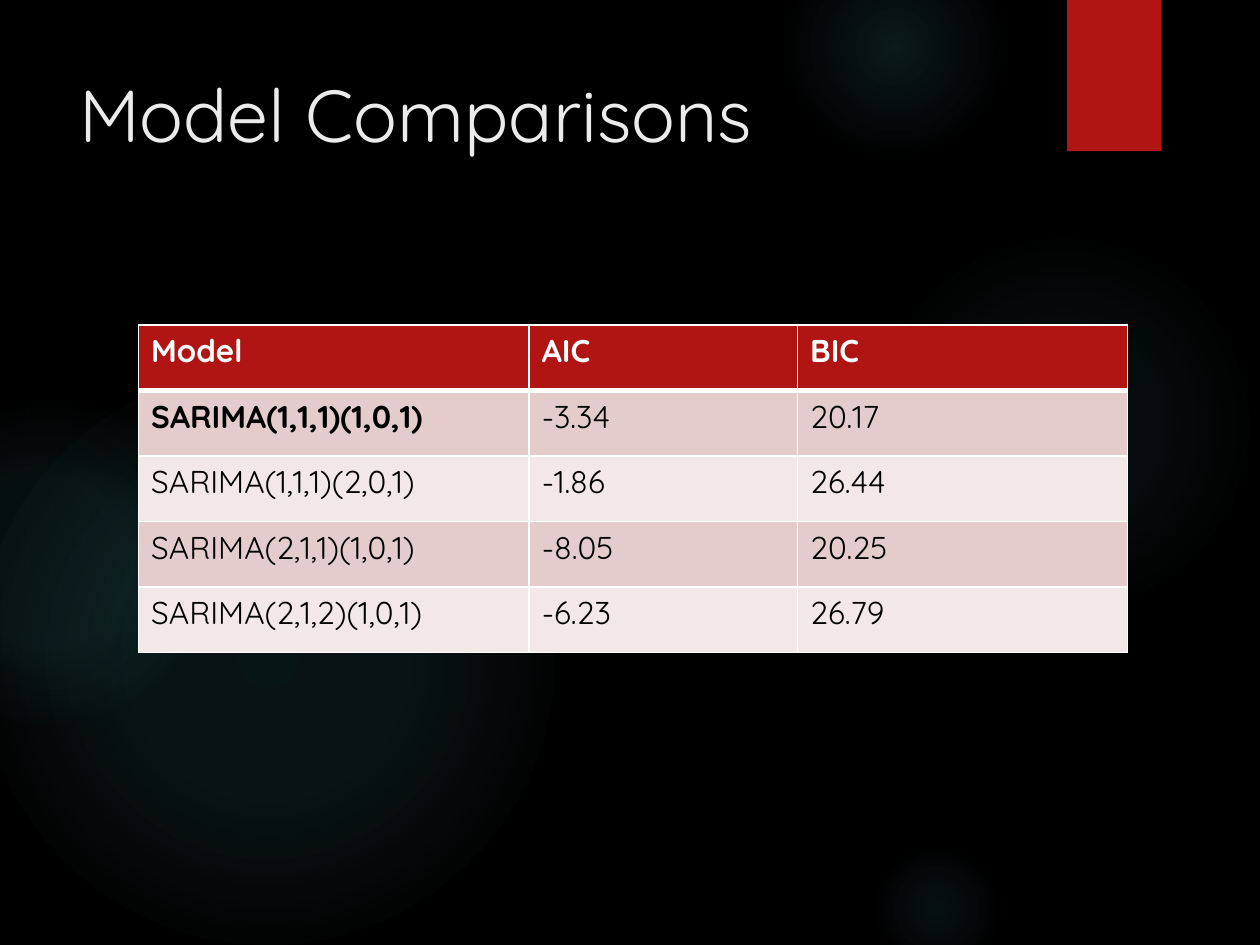
from pptx import Presentation
from pptx.dml.color import RGBColor
from pptx.enum.shapes import MSO_SHAPE as Shape
from pptx.enum.text import MSO_ANCHOR as Anchor
from pptx.oxml import parse_xml
from pptx.oxml.ns import nsdecls, qn
from pptx.util import Inches, Pt

BLACK = RGBColor(0x00, 0x00, 0x00)
WHITE = RGBColor(0xFF, 0xFF, 0xFF)
PALE = RGBColor(0xEB, 0xEB, 0xEB)
RED = RGBColor(0xB0, 0x15, 0x13)
ROSE = RGBColor(0xE4, 0xCC, 0xCC)
BLUSH = RGBColor(0xF2, 0xE8, 0xE7)
TEAL = RGBColor(0x50, 0xB9, 0xC1)
FONT = "Quicksand"


def write(frame, text, size, color, bold=False):
    run = frame.paragraphs[0].add_run()
    run.text = text
    run.font.color.rgb = color
    for name, value in {"name": FONT, "size": Pt(size), "bold": bold}.items():
        setattr(run.font, name, value)


def border(cell, widths):
    """Draw white cell edges; widths are points for left, right, top, bottom."""
    props = cell._tc.get_or_add_tcPr()
    for i, (side, width) in enumerate(zip("LRTB", widths)):
        props.insert(i, parse_xml(
            f'<a:ln{side} {nsdecls("a")} w="{Pt(width)}"><a:solidFill>'
            f'<a:srgbClr val="{WHITE}"/></a:solidFill></a:ln{side}>'))


prs = Presentation()
prs.slide_width, prs.slide_height = Inches(10), Inches(7.5)
slide = prs.slides.add_slide(prs.slide_layouts[6])
slide.background.fill.solid()
slide.background.fill.fore_color.rgb = BLACK
shapes = slide.shapes

# Soft teal glows: left, top, diameter, then (position, opacity) stops in percent
glows = [
    (6.89, 1.83, 3.08, [(0, 7), (36, 6), (69, 0)]),
    (6.22, -0.5, 1.75, [(0, 14), (36, 7), (73, 0)]),
    (6.89, 6.67, 1.08, [(0, 9), (36, 5), (66, 0)]),
    (-0.17, 2.92, 4.58, [(0, 11), (36, 10), (75, 0)]),
    (-0.92, 3.17, 2.58, [(0, 8), (36, 8), (72, 0)]),
]
for left, top, size, stops in glows:
    glow = shapes.add_shape(Shape.OVAL, Inches(left), Inches(top), Inches(size), Inches(size))
    glow.shadow.inherit = False
    glow.line.fill.background()
    glow.fill.gradient()
    marks = "".join(
        f'<a:gs pos="{pos * 1000}"><a:srgbClr val="{TEAL}">'
        f'<a:alpha val="{alpha * 1000}"/></a:srgbClr></a:gs>' for pos, alpha in stops)
    props = glow._element.spPr
    props.replace(props.find(qn("a:gradFill")), parse_xml(
        f'<a:gradFill {nsdecls("a")}><a:gsLst>{marks}</a:gsLst><a:path path="circle">'
        '<a:fillToRect l="50000" t="50000" r="50000" b="50000"/></a:path></a:gradFill>'))

tab = shapes.add_shape(Shape.RECTANGLE, Inches(8.47), 0, Inches(0.75), Inches(1.2))
tab.shadow.inherit = False
tab.fill.solid()
tab.fill.fore_color.rgb = RED
tab.line.fill.background()

title = shapes.add_textbox(Inches(0.53), Inches(0.5), Inches(7.72), Inches(1.53)).text_frame
title.word_wrap = True
title.vertical_anchor = Anchor.TOP
write(title, "Model Comparisons", 42, PALE)

rows = [
    ("Model", "AIC", "BIC"),
    ("SARIMA(1,1,1)(1,0,1)", "-3.34", "20.17"),
    ("SARIMA(1,1,1)(2,0,1)", "-1.86", "26.44"),
    ("SARIMA(2,1,1)(1,0,1)", "-8.05", "20.25"),
    ("SARIMA(2,1,2)(1,0,1)", "-6.23", "26.79"),
]
table = shapes.add_table(len(rows), 3, Inches(1.1), Inches(2.58), Inches(7.85), Inches(2.6)).table
for col, width in zip(table.columns, (3.1, 2.13, 2.62)):
    col.width = Inches(width)

for r, row in enumerate(rows):
    table.rows[r].height = Inches(0.52)
    head = r == 0
    for c, text in enumerate(row):
        cell = table.cell(r, c)
        cell.fill.solid()
        cell.fill.fore_color.rgb = RED if head else ROSE if r % 2 else BLUSH
        border(cell, (1, 1, 3 if r == 1 else 1, 3 if head else 1))
        best = (r, c) == (1, 0)
        write(cell.text_frame, text, 18, WHITE if head else BLACK, head or best)

prs.save("out.pptx")
